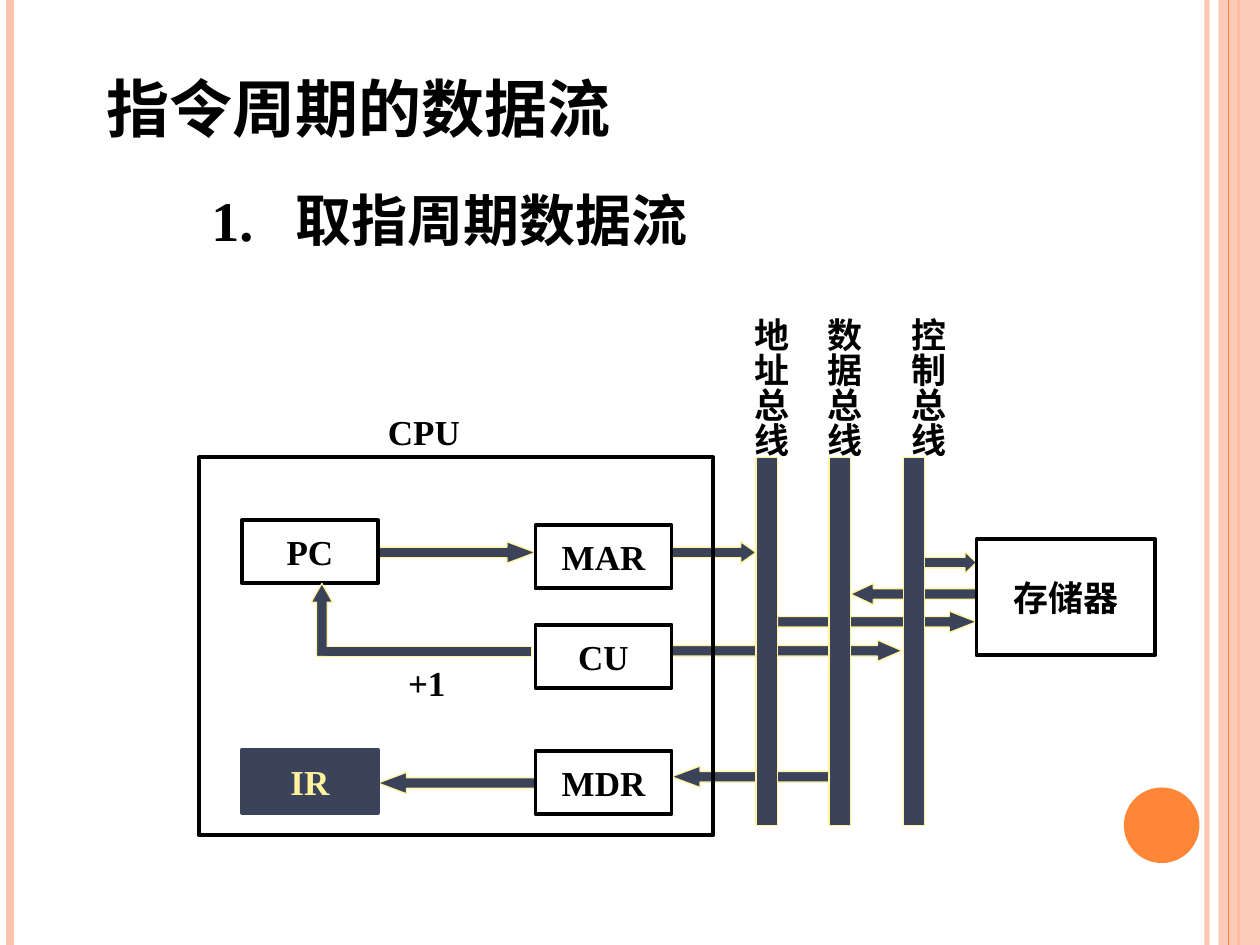
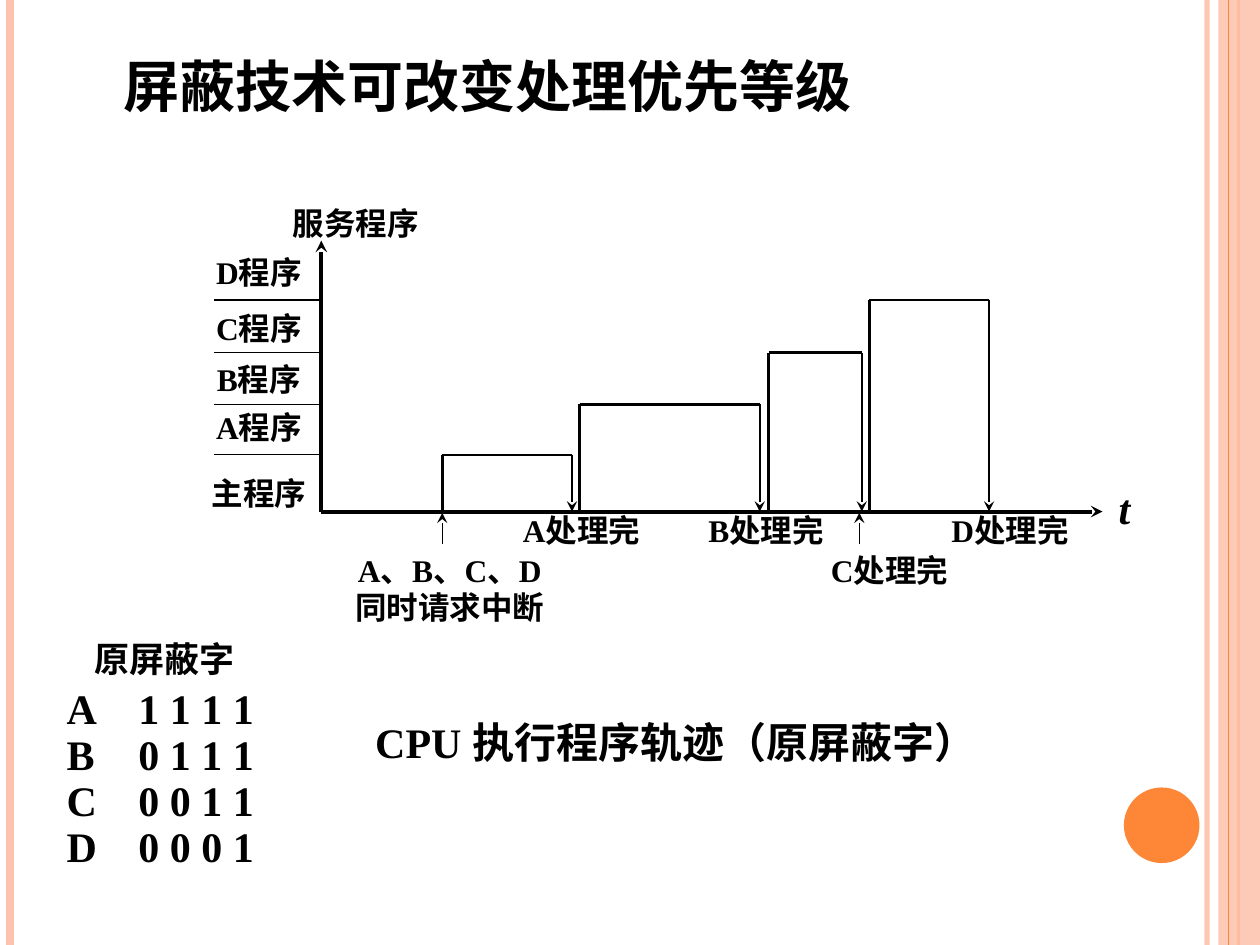
from dataclasses import dataclass

from lxml.etree import SubElement
from pptx import Presentation
from pptx.dml.color import RGBColor
from pptx.enum.shapes import MSO_CONNECTOR, MSO_SHAPE
from pptx.enum.text import MSO_ANCHOR, PP_ALIGN
from pptx.oxml.ns import qn
from pptx.util import Inches, Pt


@dataclass(frozen=True)
class Theme:
    ink: str = "000000"
    navy: str = "3B435B"
    cream: str = "FFF39D"
    peach: str = "FEC3AE"
    orange: str = "FE8637"
    latin: str = "Times New Roman"
    chinese: str = "Noto Sans CJK SC"
    title: int = 36
    heading: int = 32
    large: int = 24
    body: int = 20
    small: int = 18
    outline: float = 2.25
    step: float = 1.5
    thin: float = 1
    hair: float = 0.75


THEME = Theme()
SLIDE_W, SLIDE_H = 10, 7.5

SIDE_RULES = [
    (9.58, THEME.peach, 3, 93),
    (0.08, THEME.peach, 4.5, 100),
    (9.83, THEME.orange, 1.5, 100),
]
INNER_RULE = (9.75, THEME.orange, 0.75, 100)

RIGHT, LEFT = MSO_SHAPE.RIGHT_ARROW, MSO_SHAPE.LEFT_ARROW
BAR = 0.17
DATA_FLOWS = [
    (LEFT, 3, 6.13, 1.25, 1.33),
    (RIGHT, 3, 4.3, 1.25, 1.33),
    (RIGHT, 5.33, 4.3, 0.67, 0.71),
    (LEFT, 5.33, 6.08, 1.25, 1.33),
    (RIGHT, 5.33, 5.08, 1.83, 1.15),
    (RIGHT, 6.17, 4.85, 1.58, 1.27),
    (LEFT, 6.75, 4.63, 1, 1.07),
    (RIGHT, 7.25, 4.38, 0.5, 0.53),
]
REGISTERS = [
    ("PC", 1.92, 4.13),
    ("MAR", 4.25, 4.17),
    ("CU", 4.25, 4.96),
    ("MDR", 4.25, 5.96),
]
BUSES = [("地址总线", 6, 5.8), ("数据总线", 6.58, 6.38), ("控制总线", 7.17, 7.05)]

AXIS_X, AXIS_Y = 2.55, 4.06
PROGRAMS = [
    ("主程序", 3.76),
    ("A程序", 3.24),
    ("B程序", 2.86),
    ("C程序", 2.45),
    ("D程序", 2.01),
]
RUNS = [
    (3.51, 4.54, 3.61, THEME.step),
    (4.6, 6.03, 3.21, THEME.thin),
    (6.1, 6.84, 2.8, THEME.thin),
    (6.9, 7.85, 2.38, THEME.step),
]
EVENT_MARKS = [3.51, 6.82]
TIME_NOTES = [
    ("服务程序", 2.14, 1.62, 1.37),
    ("A处理完", 4.07, 4.06, 1.09),
    ("B处理完", 5.47, 4.06, 1.22),
    ("C处理完", 6.46, 4.37, 1.2),
    ("D处理完", 7.47, 4.06, 1.09),
    ("A、B、C、D\n同时请求中断", 2.81, 4.37, 1.52),
]
MASKS = [("A", "1 1 1 1"), ("B", "0 1 1 1"), ("C", "0 0 1 1"), ("D", "0 0 0 1")]


def rgb(code):
    return RGBColor.from_string(code)


def fade(part, percent):
    if percent < 100:
        for tint in part.element.iter(qn("a:srgbClr")):
            SubElement(tint, qn("a:alpha")).set("val", str(percent * 1000))


def format_run(run, size, color=THEME.ink, italic=False):
    font = run.font
    font.size, font.bold, font.italic = Pt(size), True, italic
    font.color.rgb = rgb(color)
    font.name = THEME.latin
    SubElement(run.font._element, qn("a:ea")).set("typeface", THEME.chinese)


def write(frame, words, size, align=PP_ALIGN.LEFT, color=THEME.ink, italic=False):
    frame.text = words
    for paragraph in frame.paragraphs:
        paragraph.alignment = align
        for run in paragraph.runs:
            format_run(run, size, color, italic)


def set_tab(paragraph, distance):
    stops = SubElement(paragraph._p.get_or_add_pPr(), qn("a:tabLst"))
    stop = SubElement(stops, qn("a:tab"))
    stop.set("pos", str(Inches(distance)))
    stop.set("algn", "l")


def add_words(slide, words, left, top, width, height, size,
              align=PP_ALIGN.LEFT, tight=False, italic=False):
    label = slide.shapes.add_textbox(
        Inches(left), Inches(top), Inches(width), Inches(height))
    frame = label.text_frame
    frame.word_wrap = True
    if tight:
        frame.margin_left = frame.margin_right = 0
        frame.margin_top = frame.margin_bottom = 0
    write(frame, words, size, align, italic=italic)
    return frame


def add_block(slide, kind, left, top, width, height,
              fill=None, line=None, weight=THEME.hair, head=None):
    block = slide.shapes.add_shape(
        kind, Inches(left), Inches(top), Inches(width), Inches(height))
    block.shadow.inherit = False
    if fill:
        block.fill.solid()
        block.fill.fore_color.rgb = rgb(fill)
    else:
        block.fill.background()
    if line:
        block.line.color.rgb = rgb(line)
        block.line.width = Pt(weight)
    else:
        block.line.fill.background()
    if head:
        block.adjustments[1] = head
    return block


def add_box(slide, words, left, top, width, height,
            fill=None, line=THEME.ink, color=THEME.ink):
    box = add_block(slide, MSO_SHAPE.RECTANGLE, left, top, width, height,
                    fill, line, THEME.outline)
    frame = box.text_frame
    frame.word_wrap = False
    frame.vertical_anchor = MSO_ANCHOR.MIDDLE
    write(frame, words, THEME.body, PP_ALIGN.CENTER, color)


def add_flow(slide, kind, left, top, width, height, head=None):
    add_block(slide, kind, left, top, width, height,
              THEME.navy, THEME.cream, head=head)


def add_line(slide, x1, y1, x2, y2, weight, color=THEME.ink, arrow=False):
    line = slide.shapes.add_connector(
        MSO_CONNECTOR.STRAIGHT, Inches(x1), Inches(y1), Inches(x2), Inches(y2))
    line.line.color.rgb = rgb(color)
    line.line.width = Pt(weight)
    if arrow:
        SubElement(line.line._get_or_add_ln(), qn("a:tailEnd")).set("type", "stealth")
    SubElement(line.element.spPr, qn("a:effectLst"))
    return line


def add_side_rule(slide, x, color, weight, opacity):
    fade(add_line(slide, x, 0, x, SLIDE_H, weight, color), opacity)


def new_slide(deck):
    slide = deck.slides.add_slide(deck.slide_layouts[6])
    for rule in SIDE_RULES:
        add_side_rule(slide, *rule)
    band = add_block(slide, MSO_SHAPE.RECTANGLE, 9.67, 0, 0.33, SLIDE_H, THEME.peach)
    fade(band, 87)
    add_side_rule(slide, *INNER_RULE)
    add_block(slide, MSO_SHAPE.OVAL, 8.92, 6.25, 0.6, 0.6, THEME.orange)
    return slide


def build_fetch_flow(deck):
    slide = new_slide(deck)
    for kind, left, top, width, head in DATA_FLOWS:
        add_flow(slide, kind, left, top, width, BAR, head)
    add_words(slide, "指令周期的数据流", 0.75, 0.5, 6.25, 0.7, THEME.title)
    heading = add_words(slide, "1.\t取指周期数据流", 1.58, 1.42, 6.25, 0.63, THEME.heading)
    set_tab(heading.paragraphs[0], 0.67)

    for name, left, top in REGISTERS:
        add_box(slide, name, left, top, 1.08, 0.5)
    add_box(slide, "IR", 1.92, 5.95, 1.08, 0.5, THEME.navy, THEME.navy, THEME.cream)
    add_block(slide, MSO_SHAPE.RECTANGLE, 1.58, 3.63, 4.08, 3,
              line=THEME.ink, weight=THEME.outline)
    add_words(slide, "CPU", 2.98, 3.21, 1, 0.43, THEME.body)

    for name, bus_left, name_left in BUSES:
        add_flow(slide, MSO_SHAPE.RECTANGLE, bus_left, 3.63, BAR, 2.92)
        frame = add_words(slide, name, name_left, 2.42, 0.53, 1.21, THEME.body)
        frame.word_wrap = False
        frame._txBody.bodyPr.set("vert", "eaVert")
    add_box(slide, "存储器", 7.75, 4.28, 1.42, 0.92)

    add_flow(slide, MSO_SHAPE.RECTANGLE, 2.55, 5.13, 1.67, 0.08)
    add_flow(slide, MSO_SHAPE.UP_ARROW, 2.47, 4.63, BAR, 0.58, 0.88)
    add_block(slide, MSO_SHAPE.RECTANGLE, 2.59, 5.14, 0.04, 0.06, THEME.navy, THEME.navy)
    add_words(slide, "+1", 3.14, 5.2, 1.75, 0.43, THEME.body)


def build_mask_trace(deck):
    slide = new_slide(deck)
    title = add_words(slide, "屏蔽技术可改变处理优先等级", 0.98, 0.44, 7.8, 0.47,
                      THEME.heading, tight=True)
    title.vertical_anchor = MSO_ANCHOR.MIDDLE

    add_line(slide, AXIS_X, AXIS_Y, 8.75, AXIS_Y, THEME.outline, arrow=True)
    add_line(slide, AXIS_X, AXIS_Y, AXIS_X, 1.91, THEME.outline, arrow=True)
    add_words(slide, "t", 8.67, 3.83, 0.51, 0.37, THEME.large,
              PP_ALIGN.CENTER, tight=True, italic=True)
    for program, top in PROGRAMS:
        add_words(slide, program, 1.61, top, 0.89, 0.37, THEME.small,
                  PP_ALIGN.CENTER, tight=True)
    for note, left, top, width in TIME_NOTES:
        add_words(slide, note, left, top, width, 0.36, THEME.small,
                  PP_ALIGN.CENTER, tight=True)

    for start, end, level, drop in RUNS:
        add_line(slide, 1.7, level, AXIS_X, level, THEME.hair)
        add_line(slide, start, level, start, AXIS_Y, THEME.step)
        add_line(slide, start, level, end, level, THEME.step)
        add_line(slide, end, level, end, AXIS_Y, drop, arrow=True)
    for x in EVENT_MARKS:
        add_line(slide, x, 4.32, x, 4.07, THEME.hair, arrow=True)

    add_words(slide, "CPU 执行程序轨迹（原屏蔽字）", 2.88, 5.64, 5.67, 0.5, THEME.large)
    rows = ["原屏蔽字"] + ["\t".join(mask) for mask in MASKS]
    masks = add_words(slide, "\n".join(rows), 0.43, 5.01, 2.05, 2.1, THEME.large)
    caption, *mask_rows = masks.paragraphs
    caption.runs[0].font.size = Pt(THEME.body)
    caption._p.get_or_add_pPr().set("marL", str(Inches(0.22)))
    mask_rows[0].space_before = Pt(4)
    for row in mask_rows:
        row.line_spacing = Pt(26.3)
        set_tab(row, 0.57)


def main():
    deck = Presentation()
    deck.slide_width, deck.slide_height = Inches(SLIDE_W), Inches(SLIDE_H)
    build_fetch_flow(deck)
    build_mask_trace(deck)
    deck.save("out.pptx")


if __name__ == "__main__":
    main()
